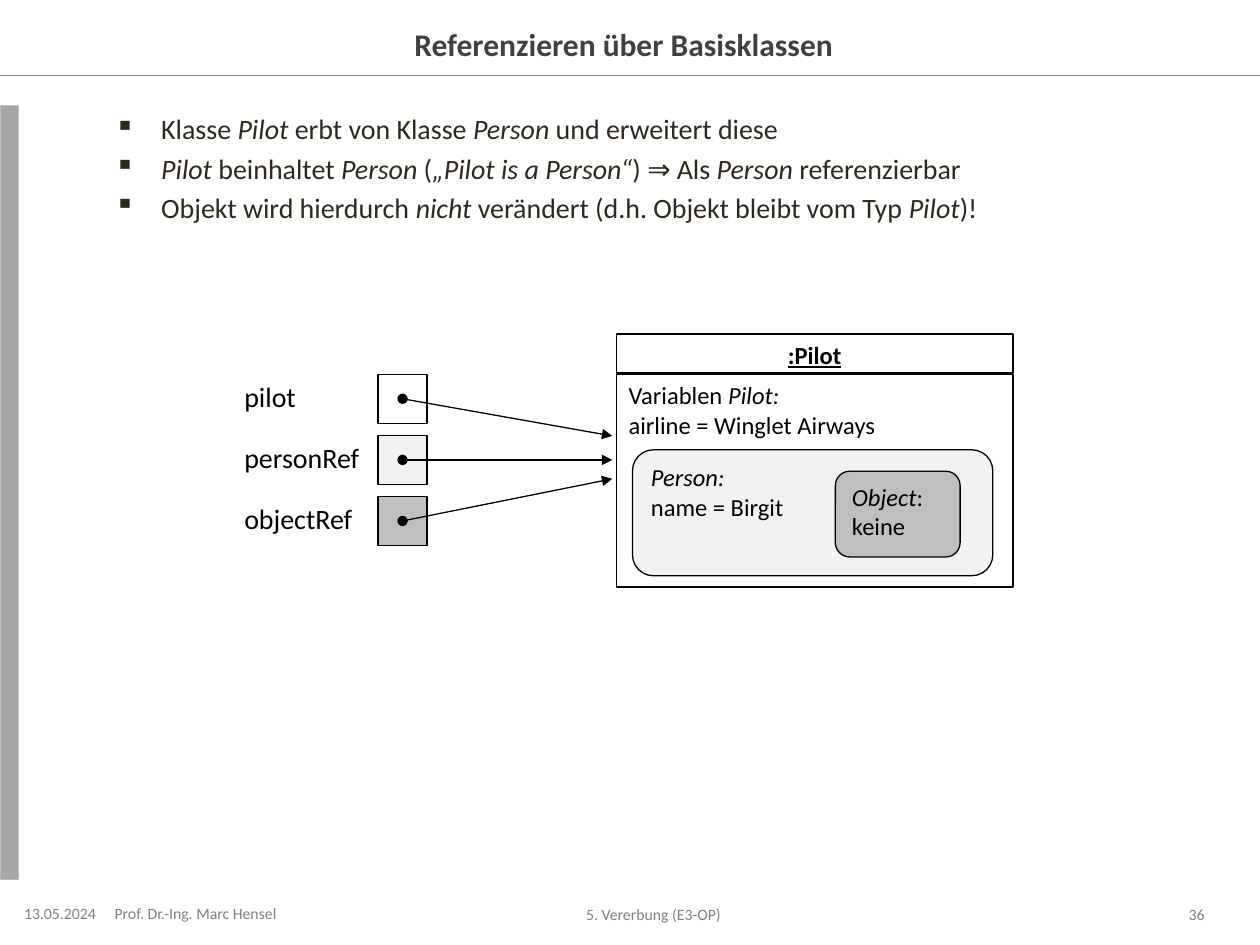
"""Build a slide on referencing objects through base classes."""
import pptx
import pptx.dml.color
import pptx.enum.shapes
import pptx.enum.text
import pptx.oxml.ns
import pptx.util
from lxml import etree

Inches = pptx.util.Inches
Pt = pptx.util.Pt
RGBColor = pptx.dml.color.RGBColor
SHAPE = pptx.enum.shapes.MSO_SHAPE
ALIGN = pptx.enum.text.PP_ALIGN
ANCHOR = pptx.enum.text.MSO_ANCHOR
qn = pptx.oxml.ns.qn

BLACK = RGBColor(0x00, 0x00, 0x00)
WHITE = RGBColor(0xFF, 0xFF, 0xFF)
PALE = RGBColor(0xF2, 0xF2, 0xF2)
SILVER = RGBColor(0xBF, 0xBF, 0xBF)
BAR = RGBColor(0xA6, 0xA6, 0xA6)
GREY = RGBColor(0x80, 0x80, 0x80)
TITLE = RGBColor(0x40, 0x40, 0x40)
BODY = RGBColor(0x2F, 0x29, 0x1D)


class SlideBuilder:
    def __init__(self, slide, font="Calibri", line_width=0.75):
        self.slide = slide
        self.font = font
        self.line_width = Pt(line_width)

    def fill_text(self, frame, lines, size, color, align=ALIGN.LEFT, bold=None, underline=None):
        frame.word_wrap = True
        for index, line in enumerate(lines):
            paragraph = frame.paragraphs[0] if index == 0 else frame.add_paragraph()
            paragraph.alignment = align
            font = paragraph.font
            font.name, font.size, font.bold, font.underline = self.font, Pt(size), bold, underline
            font.color.rgb = color
            for position, part in enumerate(line.split("*")):
                if part:
                    run = paragraph.add_run()
                    run.text = part
                    if position % 2:
                        run.font.italic = True

    def text(self, box, lines, size, color, align=ALIGN.LEFT, anchor=ANCHOR.MIDDLE,
             margins=(0, 0.1), bold=None):
        frame = self.slide.shapes.add_textbox(*map(Inches, box)).text_frame
        frame.margin_left, frame.margin_right = map(Inches, margins)
        frame.vertical_anchor = anchor
        self.fill_text(frame, lines, size, color, align, bold)
        return frame

    def bullets(self, box, lines, size, color, indent=0.37):
        frame = self.text(box, lines, size, color, anchor=ANCHOR.TOP)
        for paragraph in frame.paragraphs:
            paragraph.space_before = Pt(size * 0.2)
            properties = paragraph._p.get_or_add_pPr()
            properties.set("marL", str(Inches(indent)))
            properties.set("indent", str(-Inches(indent)))
            bullet = etree.Element(qn("a:buChar"), char="▪")
            properties.find(qn("a:defRPr")).addprevious(bullet)

    def shape(self, kind, box, fill=None, line=BLACK, lines=(), size=14, **style):
        shape = self.slide.shapes.add_shape(kind, *map(Inches, box))
        shape.shadow.inherit = False
        if fill is None:
            shape.fill.background()
            shape.line.fill.background()
        else:
            shape.fill.solid()
            shape.fill.fore_color.rgb = fill
            shape.line.color.rgb = line
            shape.line.width = self.line_width
        shape.text_frame.vertical_anchor = ANCHOR.TOP
        self.fill_text(shape.text_frame, lines, size, BLACK, **style)

    def line(self, start, end, color=BLACK, arrow=False):
        straight = pptx.enum.shapes.MSO_CONNECTOR.STRAIGHT
        connector = self.slide.shapes.add_connector(straight, *map(Inches, start + end))
        connector.line.color.rgb = color
        connector.line.width = self.line_width
        if arrow:
            outline = connector.line._get_or_add_ln()
            etree.SubElement(outline, qn("a:headEnd"), type="oval")
            etree.SubElement(outline, qn("a:tailEnd"), type="triangle")
        etree.SubElement(connector._element.spPr, qn("a:effectLst"))


def main():
    deck = pptx.Presentation()
    deck.slide_width, deck.slide_height = Inches(10), Inches(7.5)
    builder = SlideBuilder(deck.slides.add_slide(deck.slide_layouts[6]))

    builder.line((0, 0.6), (10, 0.6), GREY)
    builder.shape(SHAPE.RECTANGLE, (0, 0.84, 0.15, 6.14), BAR, SILVER)
    builder.text((1.24, 0.15, 7.52, 0.39), ["Referenzieren über Basisklassen"], 18, TITLE,
                 ALIGN.CENTER, bold=True)
    builder.bullets((0.91, 0.84, 8.66, 6.14), [
        "Klasse *Pilot* erbt von Klasse *Person* und erweitert diese",
        "*Pilot* beinhaltet *Person* (*„Pilot is a Person“*) ⇒ Als *Person* referenzierbar",
        "Objekt wird hierdurch *nicht* verändert (d.h. Objekt bleibt vom Typ *Pilot*)!",
    ], 16, BODY)

    footer = [
        ((0.15, 7.17, 0.75, 0.16), "13.05.2024", ALIGN.CENTER, (0, 0.1)),
        ((0.91, 7.17, 1.5, 0.15), "Prof. Dr.-Ing. Marc Hensel", ALIGN.LEFT, (0, 0.1)),
        ((2.48, 7.18, 5.51, 0.15), "5. Vererbung (E3-OP)", ALIGN.CENTER, (0, 0.1)),
        ((8.92, 7.18, 0.64, 0.15), "36", ALIGN.RIGHT, (0.1, 0)),
    ]
    for box, content, align, margins in footer:
        builder.text(box, [content], 9, GREY, align, margins=margins)

    cell, cell_left, first_top, pitch = 0.39, 3, 2.97, 0.97 / 2
    references = [("pilot", WHITE, 3.46), ("personRef", PALE, 3.65), ("objectRef", SILVER, 3.8)]
    for row, (name, fill, target) in enumerate(references):
        top = first_top + row * pitch
        builder.shape(SHAPE.ROUNDED_RECTANGLE, (1.82, top - 0.03, 1.38, 0.42),
                      lines=[name], size=16)
        builder.shape(SHAPE.RECTANGLE, (cell_left, top, cell, cell), fill)
        builder.line((cell_left + cell / 2, top + cell / 2), (4.86, target), arrow=True)

    builder.shape(SHAPE.RECTANGLE, (4.89, 2.65, 3.15, 0.31), WHITE, lines=[":Pilot"],
                  align=ALIGN.CENTER, bold=True, underline=True)
    builder.shape(SHAPE.RECTANGLE, (4.89, 2.97, 3.15, 1.69), WHITE,
                  lines=["Variablen *Pilot:*", "airline = Winglet Airways"])
    builder.shape(SHAPE.ROUNDED_RECTANGLE, (5.02, 3.57, 2.86, 1), PALE,
                  lines=["*Person:*", "name = Birgit"])
    builder.shape(SHAPE.ROUNDED_RECTANGLE, (6.63, 3.74, 0.99, 0.68), SILVER,
                  lines=["*Object*:", "keine"])

    deck.save("out.pptx")


if __name__ == "__main__":
    main()
